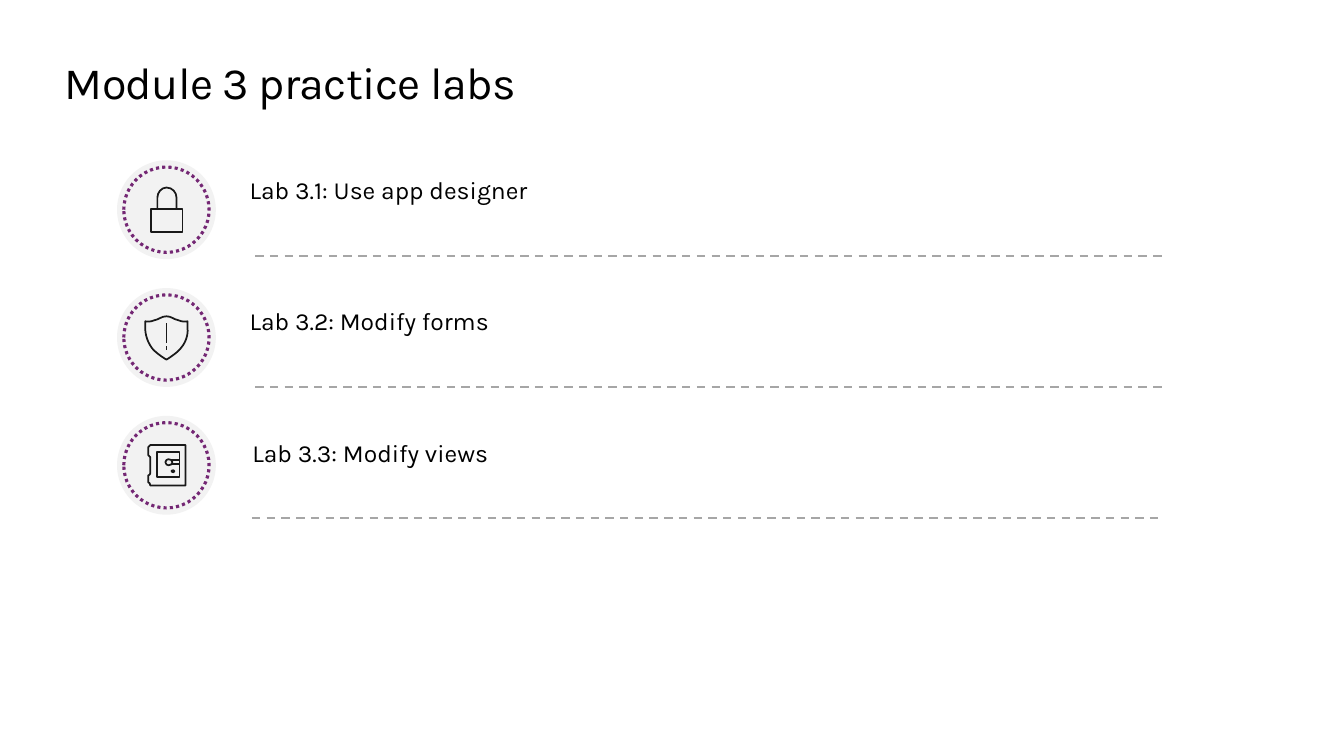
"""Build the slide that lists the practice labs of module 3."""
from lxml import etree
from pptx import Presentation
from pptx.dml.color import RGBColor
from pptx.enum.dml import MSO_LINE
from pptx.enum.shapes import MSO_CONNECTOR, MSO_SHAPE
from pptx.enum.text import MSO_ANCHOR
from pptx.oxml.ns import qn
from pptx.util import Cm, Pt

DASH, DOT = MSO_LINE.DASH, MSO_LINE.ROUND_DOT
OVAL, STRAIGHT = MSO_SHAPE.OVAL, MSO_CONNECTOR.STRAIGHT
TOP, MIDDLE = MSO_ANCHOR.TOP, MSO_ANCHOR.MIDDLE

FONT = "Karla"
BLACK, GREY, PALE, PURPLE, INK = "000000", "A6A6A6", "F2F2F2", "742774", "191919"
TITLE = "Module 3 practice labs"

LOCK = [
    [(65, 71), (34, 71), (34, 48), (65, 48), (65, 71)],
    [(59, 48), (59, 37), (59, 32, 55, 27, 49, 27), (44, 27, 40, 32, 40, 37), (40, 48)],
]
SHIELD = [
    [(35, 60), (28, 51, 28, 41, 28, 41), (28, 33), (28, 33, 33, 34, 37, 32),
     (42, 31, 44, 28, 49, 28), (54, 28, 56, 31, 61, 32), (65, 34, 70, 33, 70, 33),
     (70, 41), (70, 41, 71, 51, 63, 60), (59, 65, 49, 71, 49, 71), (49, 71, 39, 65, 35, 60)],
    [(49, 35), (49, 55)],
    [(49, 58), (49, 61)],
]
SAFE = [
    [(68, 29), (68, 69), (33, 69), (33, 67, 32, 66, 31, 66), (31, 59),
     (32, 59, 33, 58, 33, 57), (33, 41), (33, 40, 32, 39, 31, 39), (31, 31),
     (32, 31, 33, 30, 33, 29), (68, 29)],
    [(62, 36), (40, 36), (40, 61), (62, 61), (62, 36)],
    [(51, 49), (53, 49, 55, 48, 55, 46), (55, 44, 53, 43, 51, 43),
     (50, 43, 48, 44, 48, 46), (48, 48, 50, 49, 51, 49)],
    [(56, 56), (56, 56, 57, 55, 57, 55), (57, 54, 56, 54, 56, 54),
     (55, 54, 54, 54, 54, 55), (54, 55, 55, 56, 56, 56)],
    [(54, 44), (62, 44)],
    [(54, 48), (62, 48)],
]
LABS = [
    ("Lab 3.1: Use app designer", 6.29, 6.43, LOCK),
    ("Lab 3.2: Modify forms", 6.29, 6.43, SHIELD),
    ("Lab 3.3: Modify views", 6.36, 6.35, SAFE),
]

TEXT_TOP, TEXT_STEP, TEXT_W, TEXT_H = 3.8, 3.31, 23.06, 1.96
RULE_DY, RULE_W = 2.64, 22.97
BADGE_X, BADGE_TOP, BADGE_STEP, BADGE_D = 2.95, 4.04, 3.22, 2.49
RING_INSET = 0.17
ICON_SCALE = Cm(2.54) / 100


def rgb(value):
    return RGBColor.from_string(value)


def style_line(line, color, width, dash=None):
    line.color.rgb = rgb(color)
    line.width = Pt(width)
    if dash is not None:
        line.dash_style = dash


def add_text(s, text, box, size, anchor, insets):
    tb = s.shapes.add_textbox(*map(Cm, box))
    tf = tb.text_frame
    tf.word_wrap = True
    tf.vertical_anchor = anchor
    tf.margin_left, tf.margin_top, tf.margin_right, tf.margin_bottom = map(Cm, insets)
    p = tf.paragraphs[0]
    r = p.add_run()
    r.text = text
    r.font.name, r.font.size = FONT, Pt(size)
    r.font.color.rgb = rgb(BLACK)
    return p, r


def add_circle(s, x, y, d):
    sp = s.shapes.add_shape(OVAL, Cm(x), Cm(y), Cm(d), Cm(d))
    sp.shadow.inherit = False
    return sp


def bend_segments(sp, strokes):
    steps = [step for stroke in strokes for step in stroke]
    left, top = min(step[-2] for step in steps), min(step[-1] for step in steps)
    nodes = list(sp._element.iter(qn("a:moveTo"), qn("a:lnTo")))
    for node, step in zip(nodes, steps):
        if len(step) == 6:
            node.clear()
            curve = etree.Element(qn("a:cubicBezTo"))
            for x, y in zip(step[::2], step[1::2]):
                etree.SubElement(curve, qn("a:pt"), x=str(x - left), y=str(y - top))
            node.getparent().replace(node, curve)


def add_icon(s, x, y, strokes):
    fb = s.shapes.build_freeform(*strokes[0][0], scale=ICON_SCALE)
    for i, stroke in enumerate(strokes):
        ends = [step[-2:] for step in stroke]
        if i:
            fb.move_to(*ends[0])
        fb.add_line_segments(ends[1:], close=ends[0] == ends[-1])
    sp = fb.convert_to_shape(Cm(x), Cm(y))
    bend_segments(sp, strokes)
    sp.shadow.inherit = False
    sp.fill.background()
    style_line(sp.line, INK, 1.25)


def add_badge(s, y, strokes):
    disc = add_circle(s, BADGE_X, y, BADGE_D)
    disc.fill.solid()
    disc.fill.fore_color.rgb = rgb(PALE)
    disc.line.fill.background()
    ring = add_circle(s, BADGE_X + RING_INSET, y + RING_INSET, BADGE_D - 2 * RING_INSET)
    ring.fill.background()
    style_line(ring.line, PURPLE, 2.25, DOT)
    add_icon(s, BADGE_X, y, strokes)


def add_rule(s, x, y):
    rule = s.shapes.add_connector(STRAIGHT, Cm(x), Cm(y), Cm(x + RULE_W), Cm(y))
    style_line(rule.line, GREY, 1.5, DASH)
    etree.SubElement(rule._element.spPr, qn("a:effectLst"))


def main():
    prs = Presentation()
    prs.slide_width, prs.slide_height = Cm(33.87), Cm(19.05)
    s = prs.slides.add_slide(prs.slide_layouts[6])
    p, r = add_text(s, TITLE, (1.63, 1.27, 30.61, 1.37), 32, TOP, (0, 0.25, 0.41, 0.25))
    p.line_spacing = 0.9
    r.font._element.set("spc", "-45")
    for i, (label, text_x, rule_x, icon) in enumerate(LABS):
        y = TEXT_TOP + i * TEXT_STEP
        add_text(s, label, (text_x, y, TEXT_W, TEXT_H), 17.6, MIDDLE, (0, 0, 0, 0))
        add_rule(s, rule_x, y + RULE_DY)
        add_badge(s, BADGE_TOP + i * BADGE_STEP, icon)
    prs.save("out.pptx")


if __name__ == "__main__":
    main()
